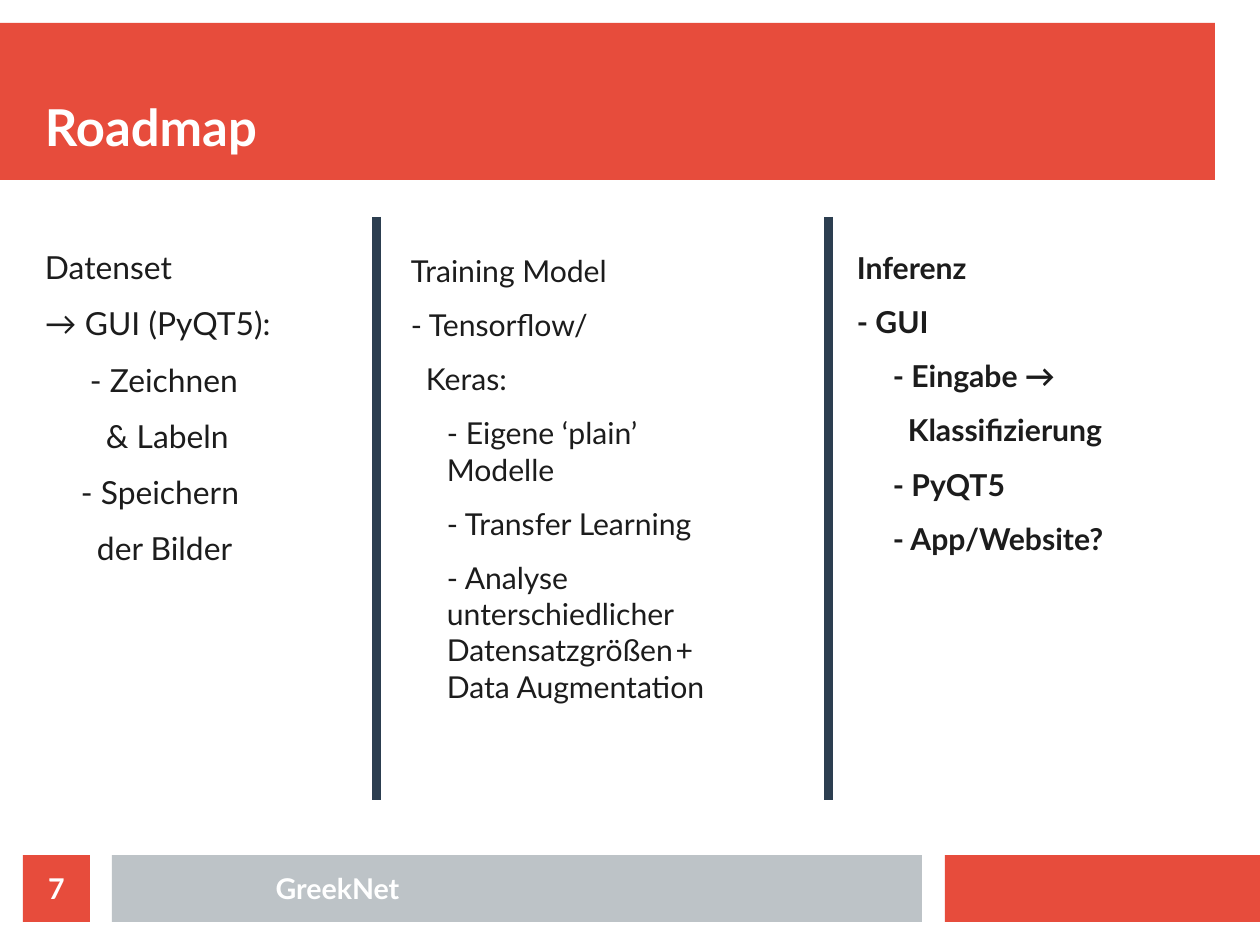
import pptx
import pptx.util
import pptx.dml.color
import pptx.enum.shapes
import pptx.enum.text
from lxml import etree

RGB = pptx.dml.color.RGBColor
RED = RGB(0xE7, 0x4C, 0x3C)
GREY = RGB(0xBD, 0xC3, 0xC7)
NAVY = RGB(0x2C, 0x3E, 0x50)
INK = RGB(0x1C, 0x1C, 0x1C)
WHITE = RGB(0xFF, 0xFF, 0xFF)
ALIGN = pptx.enum.text.PP_ALIGN
ANCHOR = pptx.enum.text.MSO_ANCHOR

# Content: each column has left, top, size, bold and (indent, lines)
COLS = [
    (45, 248, 20, False, [
        (0, ["Datenset"]),
        (0, ["→ GUI (PyQT5):"]),
        (45, ["- Zeichnen"]),
        (61, ["& Labeln"]),
        (36, ["- Speichern"]),
        (52, ["der Bilder"]),
    ]),
    (411, 252, 19, False, [
        (0, ["Training Model"]),
        (0, ["- Tensorflow/"]),
        (15, ["Keras:"]),
        (36, ["- Eigene ‘plain’", "Modelle"]),
        (36, ["- Transfer Learning"]),
        (36, ["- Analyse", "unterschiedlicher", "Datensatzgrößen\t+",
              "Data Augmentation"]),
    ]),
    (857, 249, 19, True, [
        (0, ["Inferenz"]),
        (0, ["- GUI"]),
        (36, ["- Eingabe →"]),
        (51, ["Klassifizierung"]),
        (36, ["- PyQT5"]),
        (36, ["- App/Website?"]),
    ]),
]
FOOT, BAND = 855, 67
BARS = [
    (0, 23, 1215, 157, RED),
    (945, FOOT, 315, BAND, RED),
    (112, FOOT, 810, BAND, GREY),
    (23, FOOT, BAND, BAND, RED),
]
LABELS = [
    ("Roadmap", (45, 45, 1170, 112), 32, ALIGN.LEFT, ANCHOR.BOTTOM),
    ("GreekNet", (135, FOOT, 405, BAND), 18, ALIGN.CENTER, ANCHOR.MIDDLE),
]
RULES = [377, 828]
TAB = 319


def px(n):
    return pptx.util.Emu(n * 8000)


def setup(frame, anchor):
    frame.word_wrap = True
    frame.vertical_anchor = anchor
    frame.margin_left = frame.margin_right = 0
    frame.margin_top = frame.margin_bottom = 0
    return frame


def add_run(para, text, size, bold, color):
    run = para.add_run()
    run.text = text
    font = run.font
    font.name, font.size, font.bold = "Lato", pptx.util.Pt(size), bold
    font.color.rgb = color


def label(shape, text, size, align, anchor):
    para = setup(shape.text_frame, anchor).paragraphs[0]
    para.alignment = align
    add_run(para, text, size, True, WHITE)


def indent(para, left, tab):
    props = para._p.get_or_add_pPr()
    props.set("marL", str(px(left)))
    props.set("indent", "0")
    if tab:
        space = pptx.oxml.ns.qn
        stops = etree.SubElement(props, space("a:tabLst"))
        etree.SubElement(stops, space("a:tab"), pos=str(px(TAB)), algn="l")


def main():
    deck = pptx.Presentation()
    deck.slide_width, deck.slide_height = px(1260), px(945)
    slide = deck.slides.add_slide(deck.slide_layouts[6])
    shapes = slide.shapes

    # Bars, the last of which holds the page number
    for *box, color in BARS:
        bar = shapes.add_shape(
            pptx.enum.shapes.MSO_SHAPE.RECTANGLE, *map(px, box))
        bar.shadow.inherit = False
        bar.fill.solid()
        bar.fill.fore_color.rgb = color
        bar.line.fill.background()
    label(bar, "7", 18, ALIGN.CENTER, ANCHOR.MIDDLE)

    # Title and footer
    for text, box, size, align, anchor in LABELS:
        label(shapes.add_textbox(*map(px, box)), text, size, align, anchor)

    # Column text
    for left, top, size, bold, items in COLS:
        box = shapes.add_textbox(px(left), px(top), px(378), px(585))
        frame = setup(box.text_frame, ANCHOR.TOP)
        for i, (inset, lines) in enumerate(items):
            para = frame.add_paragraph() if i else frame.paragraphs[0]
            para.alignment = ALIGN.LEFT
            para.space_after = pptx.util.Pt(11.4)
            indent(para, inset, any("\t" in line for line in lines))
            for j, line in enumerate(lines):
                if j:
                    para.add_line_break()
                add_run(para, line, size, bold, INK)

    # Column rules
    for x in RULES:
        rule = shapes.add_connector(
            pptx.enum.shapes.MSO_CONNECTOR.STRAIGHT,
            px(x), px(217), px(x), px(800))
        rule.line.color.rgb = NAVY
        rule.line.width = pptx.util.Pt(5.67)
        etree.SubElement(
            rule._element.spPr, pptx.oxml.ns.qn("a:effectLst"))

    deck.save("out.pptx")


if __name__ == "__main__":
    main()
